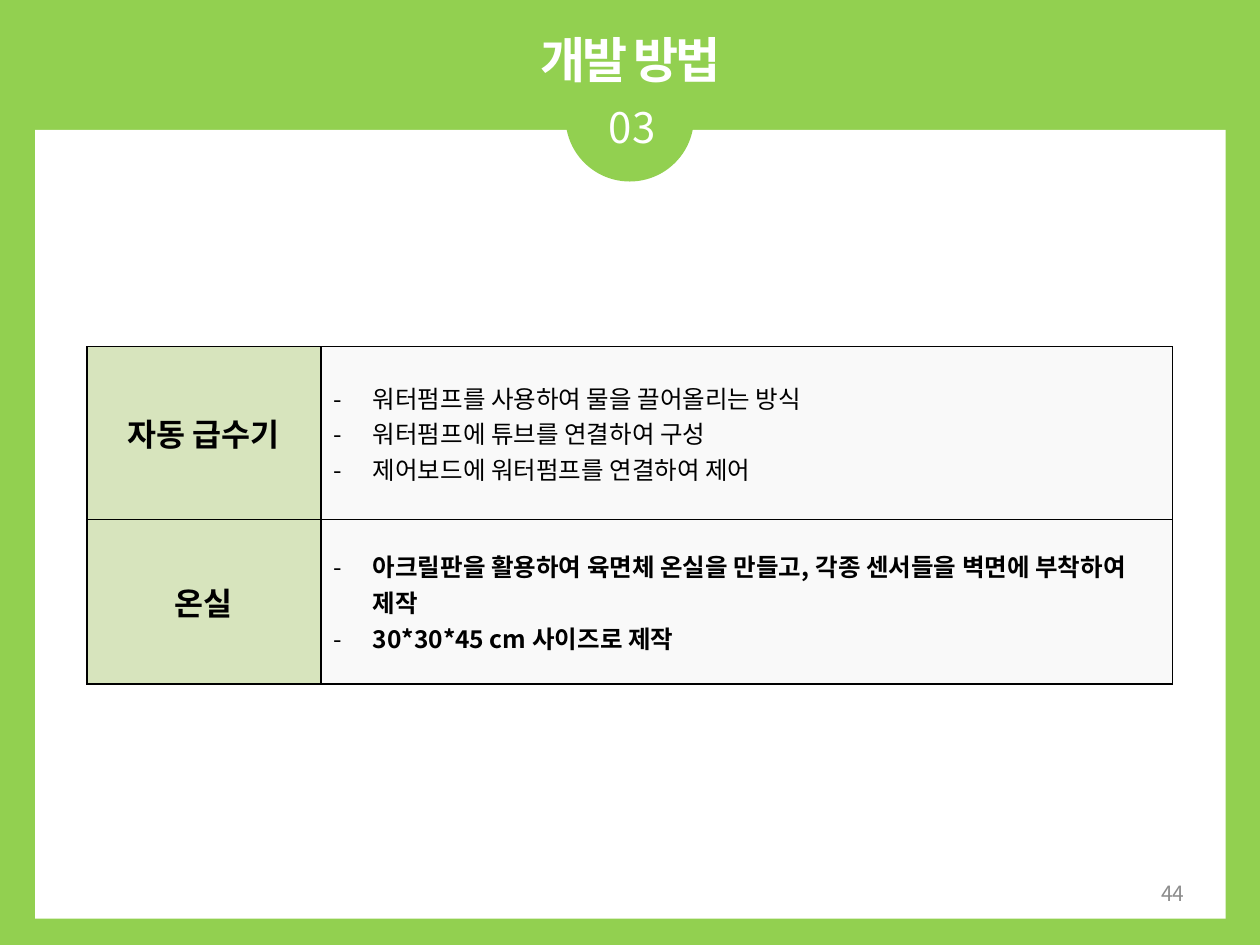
from dataclasses import dataclass

from lxml.etree import SubElement
from pptx import Presentation
from pptx.dml.color import RGBColor
from pptx.enum.shapes import MSO_SHAPE as Shape
from pptx.enum.text import MSO_ANCHOR as Anchor, MSO_AUTO_SIZE as AutoSize, PP_ALIGN as Align
from pptx.oxml.ns import qn
from pptx.util import Cm, Pt

GREEN = RGBColor(0x92, 0xD0, 0x50)
PALE_GREEN = RGBColor(0xD7, 0xE4, 0xBD)
PALE_GRAY = RGBColor(0xF9, 0xF9, 0xF9)
GRAY = RGBColor(0x8C, 0x8C, 0x8C)
WHITE = RGBColor(0xFF, 0xFF, 0xFF)
BLACK = RGBColor(0x00, 0x00, 0x00)
KOREAN = "Noto Sans CJK KR"
LATIN = "Arial"


@dataclass(frozen=True)
class Box:
    left: float
    top: float
    width: float
    height: float

    def lengths(self) -> tuple:
        return Cm(self.left), Cm(self.top), Cm(self.width), Cm(self.height)


@dataclass(frozen=True)
class Style:
    size: float
    color: RGBColor
    bold: bool = False
    face: str = KOREAN
    align: Align = Align.LEFT
    spacing: float = 0


@dataclass(frozen=True)
class Caption:
    text: str
    box: Box
    style: Style
    anchor: Anchor = Anchor.TOP
    fit: AutoSize = AutoSize.SHAPE_TO_FIT_TEXT


@dataclass(frozen=True)
class Method:
    subject: str
    points: tuple[str, ...]
    height: float
    bold: bool


CAPTIONS = (
    Caption("03", Box(11.4, 1.93, 2.69, 1.27), Style(24, WHITE, align=Align.CENTER)),
    Caption("개발 방법", Box(0.71, 0.48, 24, 1.45),
            Style(28, WHITE, bold=True, align=Align.CENTER, spacing=-1.5)),
    Caption("44", Box(18.21, 17.5, 5.92, 1.02), Style(12, GRAY, align=Align.RIGHT),
            Anchor.MIDDLE, AutoSize.NONE),
)
METHODS = (
    Method("자동 급수기",
           ("워터펌프를 사용하여 물을 끌어올리는 방식",
            "워터펌프에 튜브를 연결하여 구성",
            "제어보드에 워터펌프를 연결하여 제어"), 3.48, False),
    Method("온실",
           ("아크릴판을 활용하여 육면체 온실을 만들고, 각종 센서들을 벽면에 부착하여 제작",
            "30*30*45 cm 사이즈로 제작"), 3.32, True),
)
COLUMN_WIDTHS = (4.72, 17.17)
SUBJECT_STYLE = Style(18, BLACK, bold=True, face=LATIN, align=Align.CENTER)


def style_paragraph(paragraph, style: Style) -> None:
    paragraph.alignment = style.align
    font = paragraph.font
    font.size = Pt(style.size)
    font.bold = style.bold
    font.color.rgb = style.color
    font.name = style.face
    properties = paragraph._p.pPr.find(qn("a:defRPr"))
    SubElement(properties, qn("a:ea"), typeface=KOREAN)
    if style.spacing:
        properties.set("spc", str(int(style.spacing * 100)))


def add_dash(paragraph) -> None:
    properties = paragraph._p.get_or_add_pPr()
    indent = Cm(0.79)
    properties.set("marL", str(indent))
    properties.set("indent", str(-indent))
    SubElement(properties, qn("a:buFont"), typeface=KOREAN)
    SubElement(properties, qn("a:buChar"), char="-")


def add_panel(slide, kind: Shape, box: Box, color: RGBColor) -> None:
    panel = slide.shapes.add_shape(kind, *box.lengths())
    panel.shadow.inherit = False
    panel.fill.solid()
    panel.fill.fore_color.rgb = color
    panel.line.fill.background()


def add_caption(slide, caption: Caption) -> None:
    frame = slide.shapes.add_textbox(*caption.box.lengths()).text_frame
    frame.word_wrap = True
    frame.auto_size = caption.fit
    frame.vertical_anchor = caption.anchor
    frame.text = caption.text
    style_paragraph(frame.paragraphs[0], caption.style)


def fill_cell(cell, lines: tuple[str, ...], style: Style, color: RGBColor, dashed: bool) -> None:
    cell.vertical_anchor = Anchor.MIDDLE
    cell.text_frame.text = "\n".join(lines)
    for paragraph in cell.text_frame.paragraphs:
        if dashed:
            add_dash(paragraph)
        style_paragraph(paragraph, style)
    properties = cell._tc.get_or_add_tcPr()
    for side in ("lnL", "lnR", "lnT", "lnB"):
        border = SubElement(properties, qn(f"a:{side}"), w=str(Pt(1)))
        paint = SubElement(border, qn("a:solidFill"))
        SubElement(paint, qn("a:srgbClr"), val=str(BLACK))
    cell.fill.solid()
    cell.fill.fore_color.rgb = color


def add_methods(slide) -> None:
    box = Box(1.75, 6.99, sum(COLUMN_WIDTHS), sum(method.height for method in METHODS))
    table = slide.shapes.add_table(len(METHODS), len(COLUMN_WIDTHS), *box.lengths()).table
    table.first_row = False
    table.horz_banding = False
    for column, width in zip(table.columns, COLUMN_WIDTHS):
        column.width = Cm(width)
    for row, method in zip(table.rows, METHODS):
        row.height = Cm(method.height)
        subject, points = row.cells
        fill_cell(subject, (method.subject,), SUBJECT_STYLE, PALE_GREEN, False)
        fill_cell(points, method.points, Style(14, BLACK, bold=method.bold), PALE_GRAY, True)


def main() -> None:
    deck = Presentation()
    deck.slide_width, deck.slide_height = Cm(25.4), Cm(19.05)
    slide = deck.slides.add_slide(deck.slide_layouts[6])
    slide.background.fill.solid()
    slide.background.fill.fore_color.rgb = GREEN
    add_panel(slide, Shape.RECTANGLE, Box(0.71, 2.62, 24, 15.9), WHITE)
    add_panel(slide, Shape.OVAL, Box(11.4, 1.07, 2.59, 2.59), GREEN)
    for caption in CAPTIONS:
        add_caption(slide, caption)
    add_methods(slide)
    deck.save("out.pptx")


if __name__ == "__main__":
    main()
